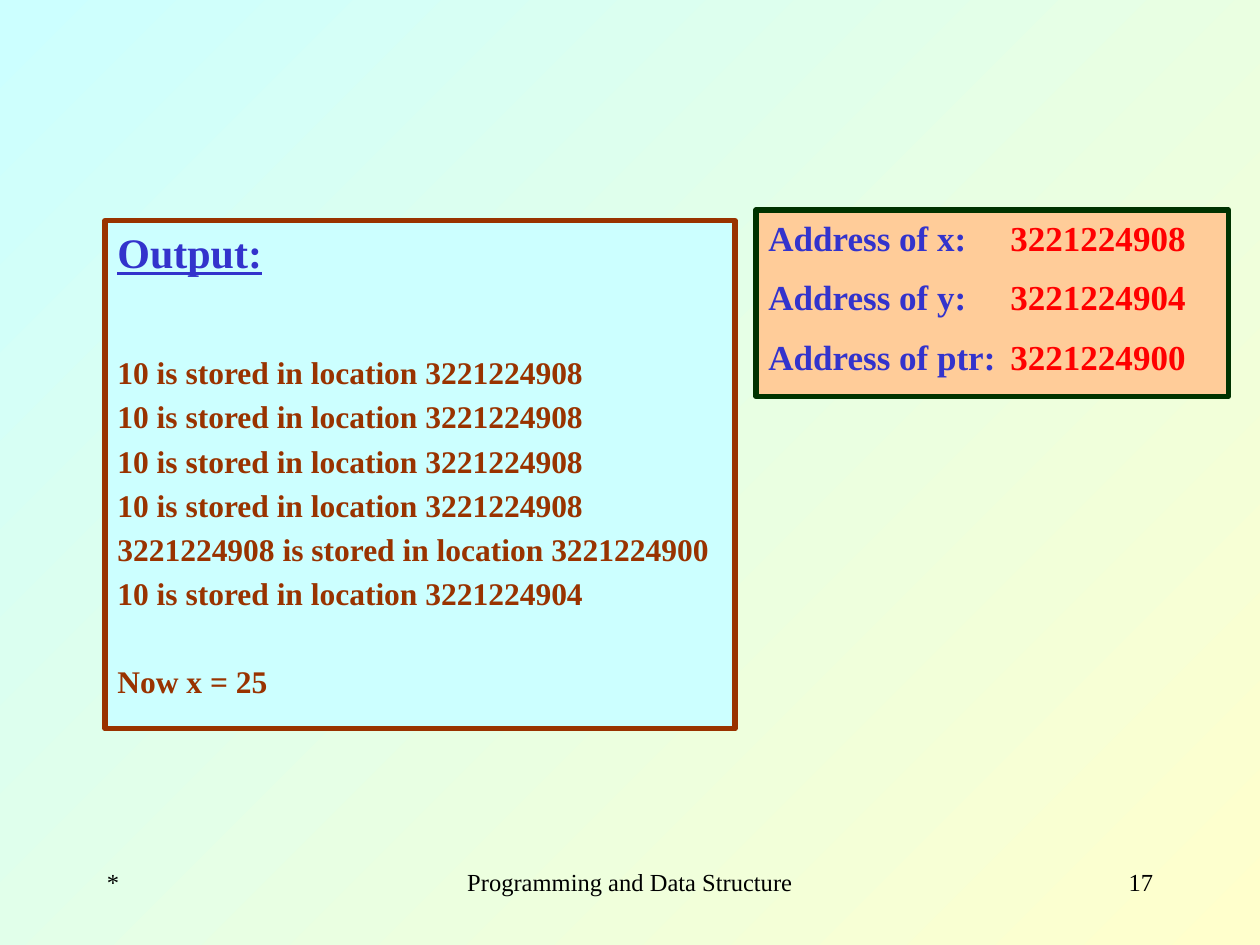
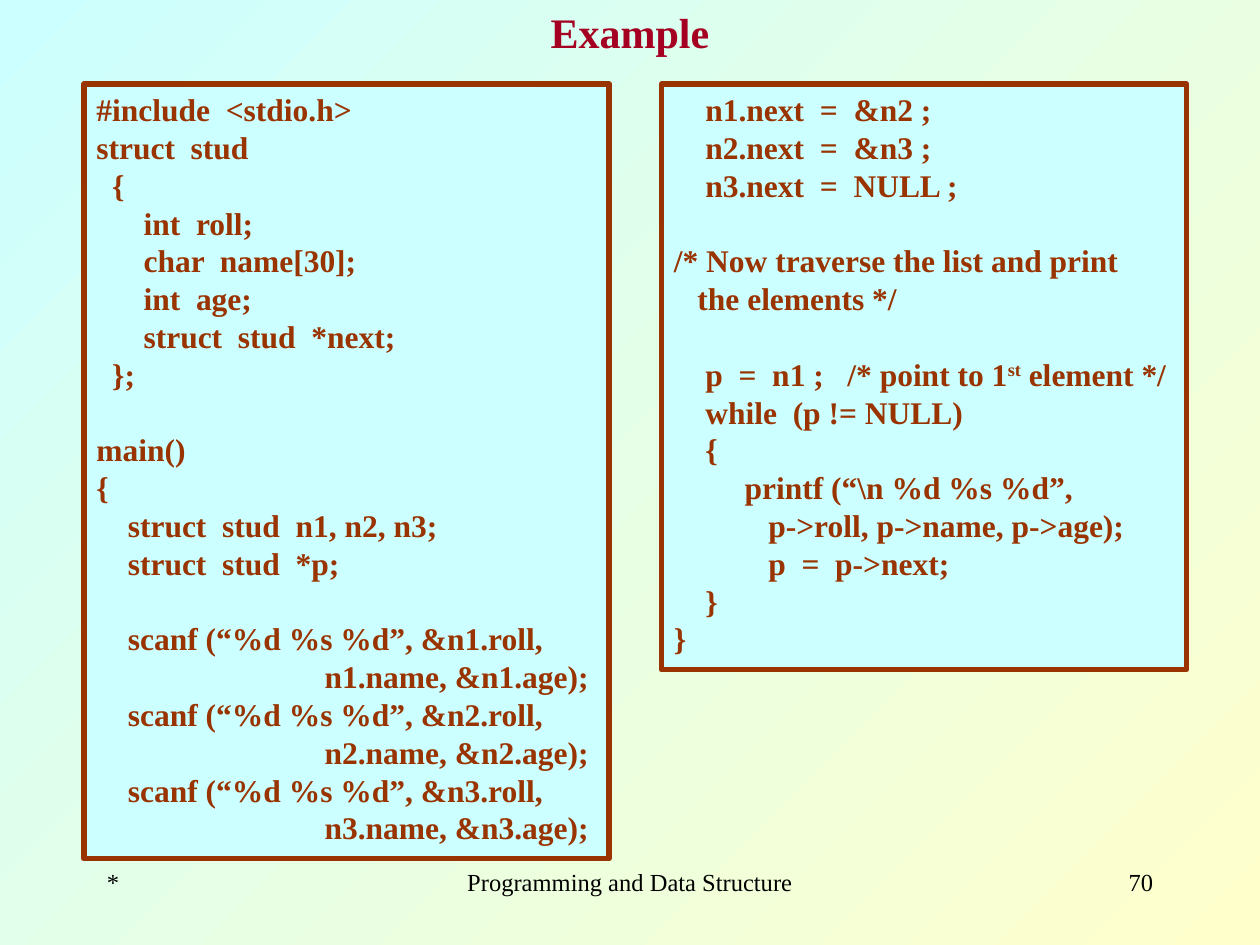
import lxml.etree
import pptx
import pptx.dml.color
import pptx.enum.shapes
import pptx.enum.text
import pptx.oxml.ns
import pptx.util

RGB = pptx.dml.color.RGBColor
CYAN = RGB(0xCC, 0xFF, 0xFF)
CREAM = RGB(0xFF, 0xFF, 0xCC)
PEACH = RGB(0xFF, 0xCC, 0x99)
BROWN = RGB(0x99, 0x33, 0x00)
GREEN = RGB(0x00, 0x33, 0x00)
BLUE = RGB(0x33, 0x33, 0xCC)
RED = RGB(0xFF, 0x00, 0x00)
CRIMSON = RGB(0xA5, 0x00, 0x21)
BLACK = RGB(0x00, 0x00, 0x00)

ALIGN = pptx.enum.text.PP_ALIGN
FONT = "Times New Roman"
CODE = dict(size=pptx.util.Pt(18), bold=True)
HEADING = dict(size=pptx.util.Pt(24), bold=True)
ADDRESS = dict(size=pptx.util.Pt(20), bold=True)
FOOTER = dict(size=pptx.util.Pt(14))

CODE_LINE = 21.6    # height of one 18 pt line, in points
OUTPUT_GAP = 3.6    # space before each output line, in points

prs = pptx.Presentation()
prs.slide_width = pptx.util.Inches(10)
prs.slide_height = pptx.util.Inches(7.5)
UNIT = prs.slide_width / 120    # the slide is a grid of 120 columns by 90 rows


def add_run(p, text, color, fmt):
    r = p.add_run()
    r.text = text
    r.font.name = FONT
    r.font.color.rgb = color
    for name, value in fmt.items():
        setattr(r.font, name, value)
    return r


def add_panel(s, at, fill, line):
    """Add a bordered rectangle, placed in grid units, and return its text frame."""
    sp = s.shapes.add_shape(pptx.enum.shapes.MSO_SHAPE.RECTANGLE,
                            *[round(n * UNIT) for n in at])
    sp.shadow.inherit = False
    sp.fill.solid()
    sp.fill.fore_color.rgb = fill
    sp.line.color.rgb = line
    sp.line.width = pptx.util.Pt(3)
    tf = sp.text_frame
    tf.word_wrap = True
    tf.auto_size = pptx.enum.text.MSO_AUTO_SIZE.SHAPE_TO_FIT_TEXT
    tf.vertical_anchor = pptx.enum.text.MSO_ANCHOR.TOP
    tf.paragraphs[0].alignment = ALIGN.LEFT
    return tf


# Shared background
fill = prs.slide_master.background.fill
fill.gradient()
fill.gradient_angle = 315
for stop, color in zip(fill.gradient_stops, (CYAN, CREAM)):
    stop.color.rgb = color

output_slide = prs.slides.add_slide(prs.slide_layouts[6])
example_slide = prs.slides.add_slide(prs.slide_layouts[5])

# Shared footers
for s, number in ((output_slide, "17"), (example_slide, "70")):
    for left, width, text, align in ((9, 25, "*", ALIGN.LEFT),
                                     (41, 38, "Programming and Data Structure", ALIGN.CENTER),
                                     (86, 25, number, ALIGN.RIGHT)):
        sp = s.shapes.add_textbox(*[round(n * UNIT) for n in (left, 82, width, 6)])
        sp.text_frame.word_wrap = True
        p = sp.text_frame.paragraphs[0]
        p.alignment = align
        add_run(p, text, BLACK, FOOTER)

# Slide 1: program output
tf = add_panel(output_slide, (10, 21, 60, 48.4), CYAN, BROWN)
add_run(tf.paragraphs[0], "Output:", BLUE, dict(HEADING, underline=True))
stored = [("10", "3221224908")] * 4 + [("3221224908", "3221224900"), ("10", "3221224904")]
lines = [f"{value} is stored in location {place}" for value, place in stored]
for i, text in enumerate(lines + ["Now x = 25"]):
    p = tf.add_paragraph()
    p.alignment = ALIGN.LEFT
    before = OUTPUT_GAP
    if i == 0:
        before += 40
    elif i == len(lines):
        before += CODE_LINE + OUTPUT_GAP
    p.space_before = pptx.util.Pt(before)
    add_run(p, text, BROWN, CODE)

# Slide 1: addresses
tf = add_panel(output_slide, (72, 20, 45, 17.75), PEACH, GREEN)
addresses = (("x", "3221224908"), ("y", "3221224904"), ("ptr", "3221224900"))
for i, (name, address) in enumerate(addresses):
    p = tf.add_paragraph() if i else tf.paragraphs[0]
    p.alignment = ALIGN.LEFT
    if i:
        p.space_before = pptx.util.Pt(10)
    tabs = lxml.etree.SubElement(p._p.get_or_add_pPr(), pptx.oxml.ns.qn("a:tabLst"))
    lxml.etree.SubElement(tabs, pptx.oxml.ns.qn("a:tab"),
                          pos=str(pptx.util.Inches(1.92)), algn="l")
    add_run(p, f"Address of {name}:", BLUE, ADDRESS)
    add_run(p, f"\t{address}", RED, ADDRESS)

# Slide 2: title
title = example_slide.shapes.title
for name, n in dict(left=9, top=0, width=102, height=6).items():
    setattr(title, name, round(n * UNIT))
title.text_frame.vertical_anchor = pptx.enum.text.MSO_ANCHOR.MIDDLE
p = title.text_frame.paragraphs[0]
p.alignment = ALIGN.CENTER
add_run(p, "Example", CRIMSON, HEADING)

# Slide 2: code, with superscripts between carets
DECLARE_AND_READ = r"""#include  <stdio.h>
struct  stud
  {
      int  roll;
      char  name[30];
      int  age;
      struct  stud  *next;
  };

main()
{
    struct  stud  n1, n2, n3;
    struct  stud  *p;

    scanf (“%d %s %d”, &n1.roll,
                             n1.name, &n1.age);
    scanf (“%d %s %d”, &n2.roll,
                             n2.name, &n2.age);
    scanf (“%d %s %d”, &n3.roll,
                             n3.name, &n3.age);"""
LINK_AND_PRINT = r"""    n1.next  =  &n2 ;
    n2.next  =  &n3 ;
    n3.next  =  NULL ;

/* Now traverse the list and print
   the elements */

    p  =  n1 ;   /* point to 1^st^ element */
    while  (p != NULL)
    {
         printf (“\n %d %s %d”,
            p->roll, p->name, p->age);
            p  =  p->next;
    }
}"""
for left, height, code in ((8, 73.8, DECLARE_AND_READ), (63, 55.8, LINK_AND_PRINT)):
    tf = add_panel(example_slide, (left, 8, 50, height), CYAN, BROWN)
    p = tf.paragraphs[0]
    for i, block in enumerate(code.split("\n\n")):
        for j, line in enumerate(block.splitlines()):
            if i or j:
                p = tf.add_paragraph()
                p.alignment = ALIGN.LEFT
            if i and j == 0:
                p.space_before = pptx.util.Pt(CODE_LINE)
            for k, part in enumerate(line.split("^")):
                r = add_run(p, part, BROWN, CODE)
                if k % 2:
                    r._r.get_or_add_rPr().set("baseline", "30000")

prs.save("out.pptx")
